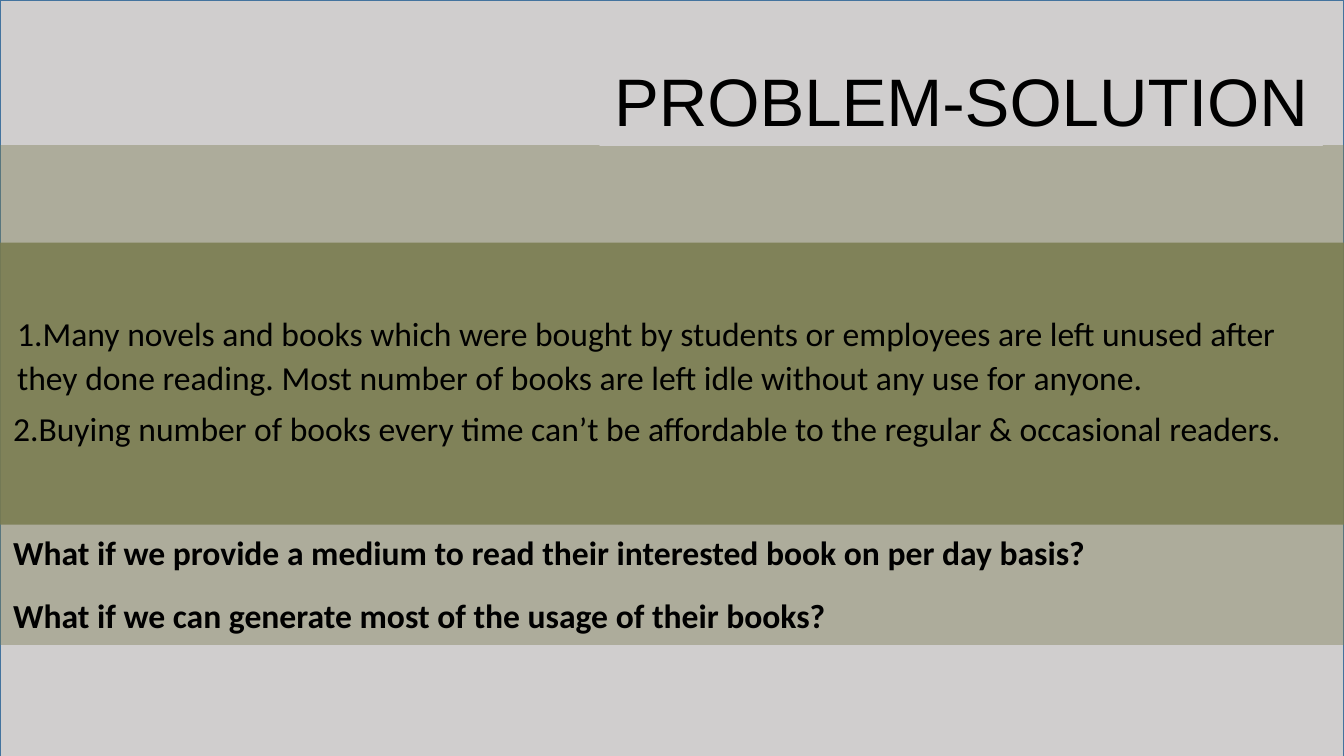
from lxml.etree import SubElement
from pptx import Presentation
from pptx.dml.color import RGBColor
from pptx.enum.shapes import MSO_SHAPE as Shape
from pptx.enum.text import MSO_ANCHOR as Anchor, MSO_AUTO_SIZE as AutoSize, PP_ALIGN as Align
from pptx.oxml.ns import qn
from pptx.util import Inches, Pt

WIDTH, HEIGHT = Inches(13.33), Inches(7.5)
GREY, OLIVE, BLUE, BLACK = "D0CECE", "797B4F", "43739E", "000000"
PROBLEMS = [
    "1.Many novels and books which were bought by students or employees are left unused after "
    "they done reading. Most number of books are left idle without any use for anyone.",
    "2.Buying number of books every time can’t be affordable to the regular & occasional readers.",
]
QUESTIONS = [
    "What if we provide a medium to read their interested book on per day basis?",
    "What if we can generate most of the usage of their books?",
]


def colour(hex_string):
    """Turn a hex string into a colour."""
    return RGBColor.from_string(hex_string)


def paint(shape, fill, line=None, opacity=100):
    """Give a shape its fill, outline and opacity in percent."""
    shape.fill.solid()
    shape.fill.fore_color.rgb = colour(fill)
    if opacity < 100:
        tint = shape.fill._xPr.find(qn("a:solidFill"))[0]
        SubElement(tint, qn("a:alpha"), val=str(opacity * 1000))
    if line:
        shape.line.color.rgb = colour(line)
        shape.line.width = Pt(1)
    else:
        shape.line.fill.background()


def add_band(slide, top, height, fill, line=None, opacity=100):
    """Add a full-width band, placed by shares of the slide height."""
    band = slide.shapes.add_shape(
        Shape.RECTANGLE, 0, int(HEIGHT * top), WIDTH, int(HEIGHT * height))
    band.shadow.inherit = False
    paint(band, fill, line, opacity)
    return band


def add_run(paragraph, text, size, font, bold=False):
    """Append one black run to a paragraph."""
    run = paragraph.add_run()
    run.text = text
    run.font.size, run.font.name, run.font.bold = Pt(size), font, bold
    run.font.color.rgb = colour(BLACK)


def write_statements(band):
    """Write the problems and the bold questions into their band."""
    frame = band.text_frame
    frame.word_wrap = True
    frame.vertical_anchor = Anchor.TOP
    frame.margin_left = frame.margin_right = Inches(0.13)
    frame.margin_top = Inches(1.64)
    statements = PROBLEMS + QUESTIONS
    for index, (text, gap) in enumerate(zip(statements, (0, 8, 60, 16))):
        paragraph = frame.add_paragraph() if index else frame.paragraphs[0]
        paragraph.alignment = Align.LEFT
        paragraph.space_before = Pt(gap)
        add_run(paragraph, text, 24, "Calibri", text in QUESTIONS)
    opening = frame.paragraphs[0]
    opening.line_spacing = 1.07
    opening._p.get_or_add_pPr().set("marL", str(Inches(0.04)))


def place_title(slide, text):
    """Format the title placeholder and bring it in front of the bands."""
    title = slide.shapes.title
    title.left, title.top = Inches(5.95), Inches(0.53)
    title.width, title.height = Inches(7.17), Inches(0.91)
    paint(title, GREY, GREY)
    frame = title.text_frame
    frame.auto_size = AutoSize.NONE
    frame.vertical_anchor = Anchor.MIDDLE
    frame.paragraphs[0].alignment = Align.CENTER
    add_run(frame.paragraphs[0], text, 48, "Arial")
    title.element.getparent().append(title.element)


def main():
    """Build and save the slide."""
    deck = Presentation()
    deck.slide_width, deck.slide_height = WIDTH, HEIGHT
    slide = deck.slides.add_slide(deck.slide_layouts.get_by_name("Title Only"))
    add_band(slide, 0, 1.008, GREY, BLUE)
    add_band(slide, 0.321, 0.373, OLIVE, opacity=85)
    write_statements(add_band(slide, 0.192, 0.661, OLIVE, opacity=40))
    place_title(slide, "PROBLEM-SOLUTION")
    deck.save("out.pptx")


main()
